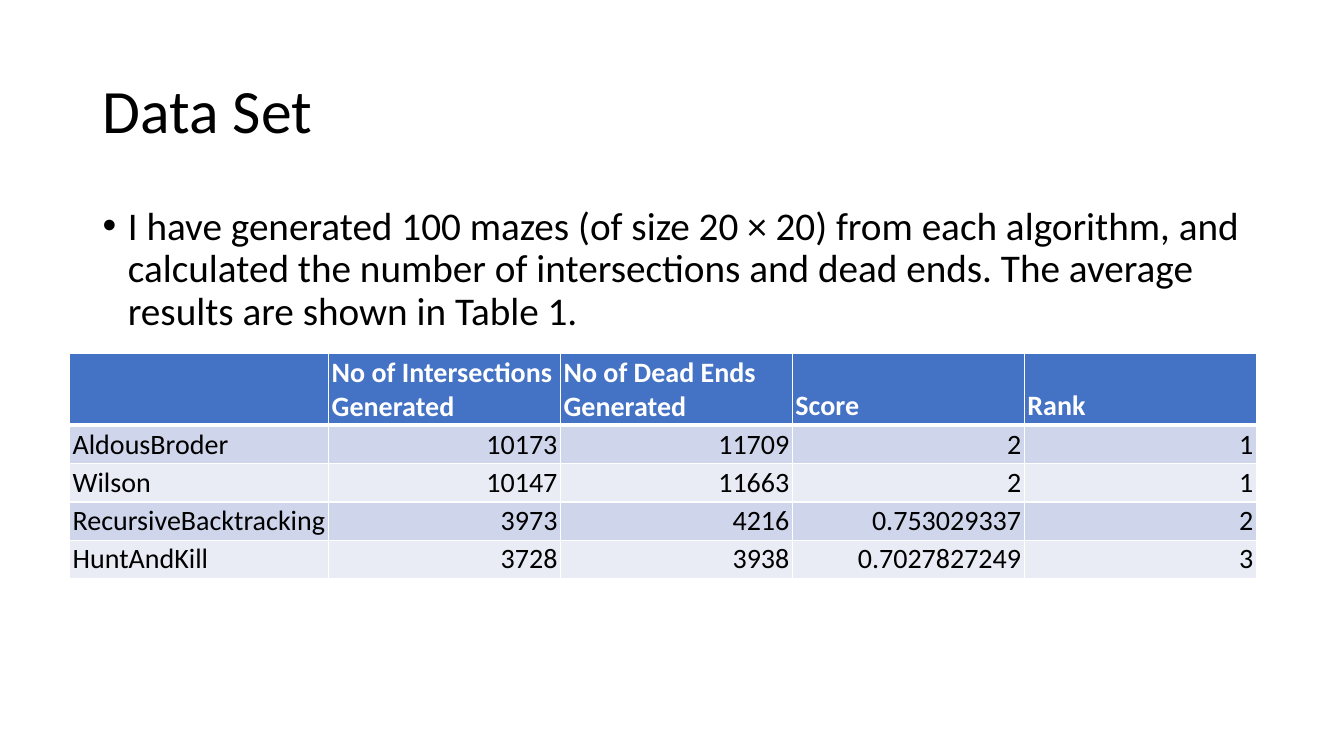
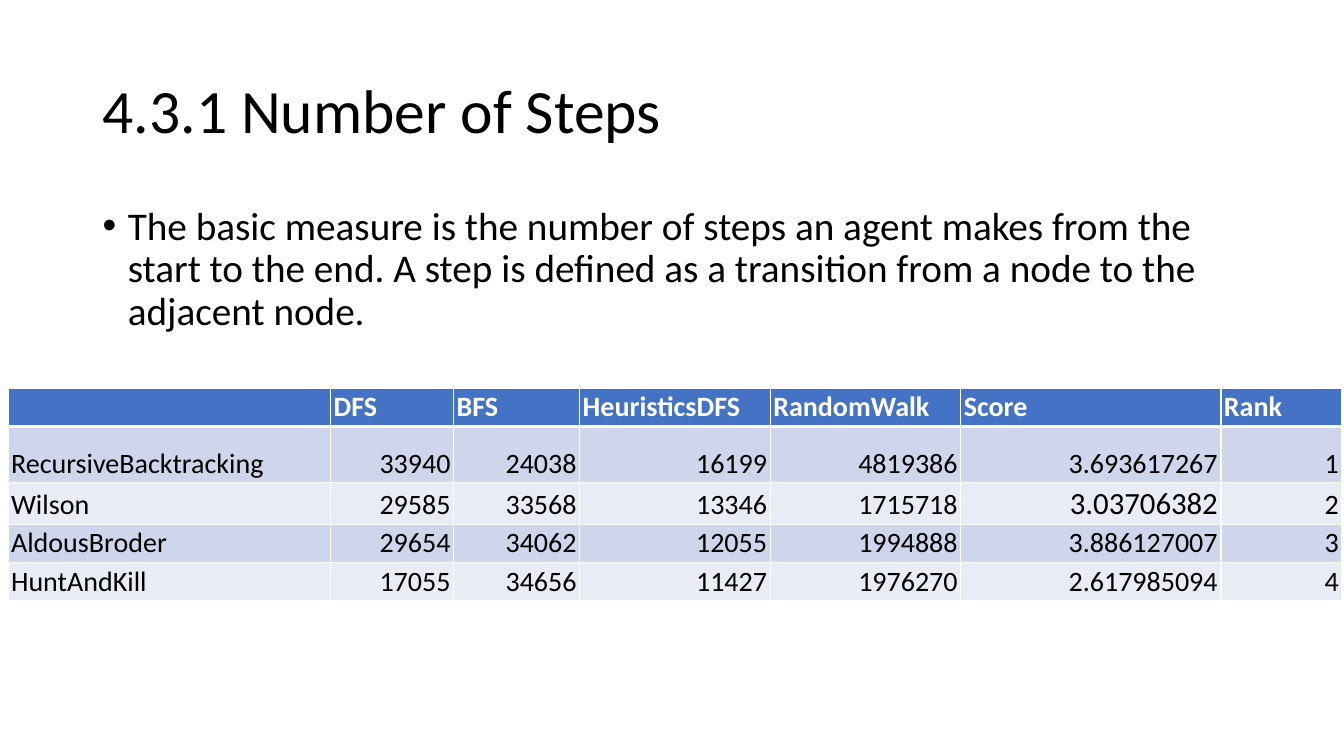
from lxml import etree
from pptx import Presentation
from pptx.dml.color import RGBColor
from pptx.enum.text import MSO_ANCHOR, PP_ALIGN
from pptx.oxml.ns import qn
from pptx.util import Inches, Pt

LEFT, RIGHT = PP_ALIGN.LEFT, PP_ALIGN.RIGHT
TOP, MIDDLE, BOTTOM = MSO_ANCHOR.TOP, MSO_ANCHOR.MIDDLE, MSO_ANCHOR.BOTTOM

# Shared style
FONT = "Calibri"
BLACK, WHITE = "000000", "FFFFFF"
HEADER_FILL = "4472C4"
BAND_FILLS = ["E9EBF5", "CFD5EA"]  # even rows, odd rows
TITLE_SIZE, BODY_SIZE, TABLE_SIZE = 44, 28, 20
THIN, THICK = 1, 3

# Slide content
SLIDES = [
    {
        "title": "Data Set",
        "body": "I have generated 100 mazes (of size 20 × 20) from each algorithm, "
                "and calculated the number of intersections and dead ends. "
                "The average results are shown in Table 1.",
        "left": 0.69, "top": 3.51,
        "columns": [2.57, 2.3, 2.3, 2.3, 2.3],
        "heights": [0.71, 0.38, 0.38, 0.38, 0.38],
        "rows": [
            ["", "No of Intersections Generated ", "No of Dead Ends Generated",
             "Score", "Rank"],
            ["AldousBroder", "10173", "11709", "2", "1"],
            ["Wilson", "10147", "11663", "2", "1"],
            ["RecursiveBacktracking", "3973", "4216", "0.753029337", "2"],
            ["HuntAndKill", "3728", "3938", "0.7027827249", "3"],
        ],
        "sizes": {},
    },
    {
        "title": "4.3.1 Number of Steps",
        "body": "The basic measure is the number of steps an agent makes from the "
                "start to the end. A step is defined as a transition from a node "
                "to the adjacent node.",
        "left": 0.08, "top": 3.85,
        "columns": [3.2, 1.22, 1.25, 1.89, 1.89, 2.58, 1.2],
        "heights": [0.38, 0.56, 0.41, 0.38, 0.38],
        "rows": [
            ["", "DFS", "BFS", "HeuristicsDFS", "RandomWalk", "Score", "Rank"],
            ["RecursiveBacktracking", "33940", "24038", "16199", "4819386",
             "3.693617267", "1"],
            ["Wilson", "29585", "33568", "13346", "1715718", "3.03706382", "2"],
            ["AldousBroder", "29654", "34062", "12055", "1994888", "3.886127007", "3"],
            ["HuntAndKill", "17055", "34656", "11427", "1976270", "2.617985094", "4"],
        ],
        "sizes": {(2, 5): 22},  # (row, column) with its own text size
    },
]


def write(para, text, size, color, bold=False):
    span = para.add_run()
    span.text = text
    span.font.name = FONT
    span.font.size = Pt(size)
    span.font.bold = bold
    span.font.color.rgb = RGBColor.from_string(color)


def add_border(cell, side, width):
    line = etree.SubElement(cell._tc.get_or_add_tcPr(), qn("a:ln" + side),
                            w=str(Pt(width)))
    fill = etree.SubElement(line, qn("a:solidFill"))
    etree.SubElement(fill, qn("a:srgbClr"), val=WHITE)


deck = Presentation()
deck.slide_width, deck.slide_height = Inches(13.33), Inches(7.5)

for content in SLIDES:
    page = deck.slides.add_slide(deck.slide_layouts[6])

    # Title and body text
    for text, top, height, size, anchor in [
        (content["title"], 0.4, 1.45, TITLE_SIZE, MIDDLE),
        (content["body"], 2, 4.76, BODY_SIZE, TOP),
    ]:
        box = page.shapes.add_textbox(Inches(0.92), Inches(top),
                                      Inches(11.5), Inches(height))
        box.text_frame.word_wrap = True
        box.text_frame.vertical_anchor = anchor
        para = box.text_frame.paragraphs[0]
        para.line_spacing = 0.9
        write(para, text, size, BLACK)

    # Bullet on the body paragraph, the last one written
    para.space_before = Pt(10)
    props = para._p.get_or_add_pPr()
    props.set("marL", str(Inches(0.25)))
    props.set("indent", str(Inches(-0.25)))
    etree.SubElement(props, qn("a:buFont"), typeface="Arial")
    etree.SubElement(props, qn("a:buChar"), char="•")

    # Table
    rows, columns, heights = content["rows"], content["columns"], content["heights"]
    table = page.shapes.add_table(
        len(rows), len(columns), Inches(content["left"]), Inches(content["top"]),
        Inches(sum(columns)), Inches(sum(heights))).table
    for column, width in zip(table.columns, columns):
        column.width = Inches(width)

    for r, values in enumerate(rows):
        table.rows[r].height = Inches(heights[r])
        header = r == 0
        for c, value in enumerate(values):
            cell = table.cell(r, c)
            cell.margin_left = cell.margin_right = Inches(0.03)
            cell.margin_top = cell.margin_bottom = Inches(0.02)
            cell.vertical_anchor = BOTTOM
            add_border(cell, "L", THIN)
            add_border(cell, "R", THIN)
            add_border(cell, "T", THICK if r == 1 else THIN)
            add_border(cell, "B", THICK if header else THIN)
            cell.fill.solid()
            cell.fill.fore_color.rgb = RGBColor.from_string(
                HEADER_FILL if header else BAND_FILLS[r % 2])
            if value:
                para = cell.text_frame.paragraphs[0]
                para.alignment = LEFT if header or c == 0 else RIGHT
                write(para, value, content["sizes"].get((r, c), TABLE_SIZE),
                      WHITE if header else BLACK, bold=header)

deck.save("out.pptx")
